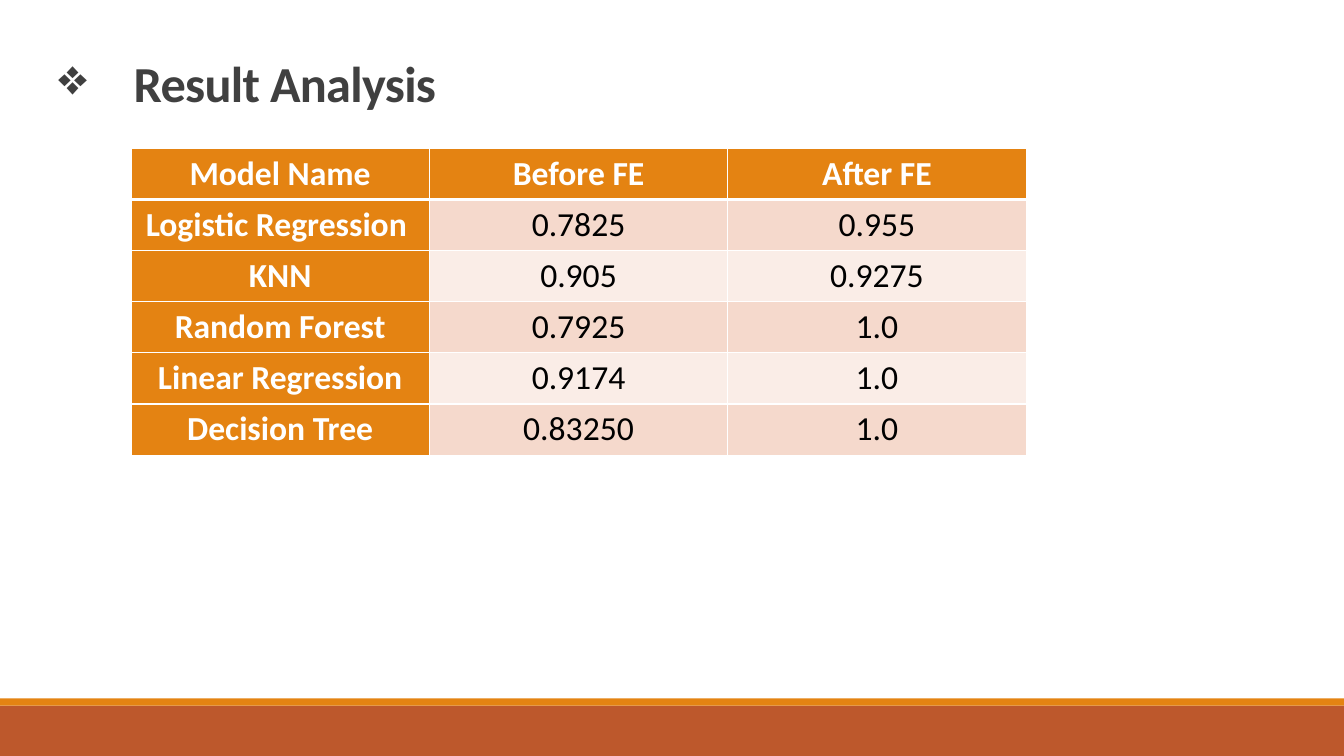
import pptx
import pptx.util
import pptx.dml.color
import pptx.enum.shapes
import pptx.enum.text
import pptx.oxml.ns
import lxml.etree
from dataclasses import dataclass

Cm = pptx.util.Cm
Pt = pptx.util.Pt
ALIGN = pptx.enum.text.PP_ALIGN
ANCHOR = pptx.enum.text.MSO_ANCHOR

# Content
TITLE = "Result Analysis"
HEADER = ("Model Name", "Before FE", "After FE")
RESULTS = [
    ("Logistic Regression ", "0.7825", "0.955"),
    ("KNN", "0.905", "0.9275"),
    ("Random Forest", "0.7925", "1.0"),
    ("Linear Regression", "0.9174", "1.0"),
    ("Decision Tree", "0.83250", "1.0"),
]


@dataclass(frozen=True)
class Theme:
    font: str = "Calibri"
    title_size: int = 36
    table_size: int = 24
    title: str = "404040"
    accent: str = "E48312"
    footer: str = "BD582C"
    bands: tuple = ("F5D9CC", "FAEDE7")
    light: str = "FFFFFF"
    dark: str = "000000"
    thin_border: int = 1
    header_border: int = 3


theme = Theme()

# Layout
SLIDE_WIDTH, SLIDE_HEIGHT = Cm(33.87), Cm(19.05)
FOOTER_HEIGHT, STRIPE_HEIGHT = Cm(1.27), Cm(0.18)
TABLE_LEFT, TABLE_TOP = Cm(3.3), Cm(3.74)
COLUMN_WIDTH, ROW_HEIGHT = Cm(7.52), Cm(1.27)
TITLE_BOX = Cm(1.14), Cm(1.14), Cm(31.55), Cm(2.13)
TITLE_INSET, TITLE_INDENT = Cm(0.33), Cm(1.9)


def rgb(value):
    return pptx.dml.color.RGBColor.from_string(value)


def add_element(parent, tag, **attributes):
    element = lxml.etree.SubElement(parent, pptx.oxml.ns.qn(tag))
    for name, value in attributes.items():
        element.set(name, str(value))
    return element


def write_text(text, frame, size, color, bold=False, align=ALIGN.LEFT):
    paragraph = frame.paragraphs[0]
    paragraph.alignment = align
    run = paragraph.add_run()
    run.text = text
    run.font.name = theme.font
    run.font.size = Pt(size)
    run.font.bold = bold
    run.font.color.rgb = rgb(color)
    return paragraph


def add_bar(slide, top, height, color):
    shape = slide.shapes.add_shape(
        pptx.enum.shapes.MSO_SHAPE.RECTANGLE, 0, top, SLIDE_WIDTH, height)
    shape.shadow.inherit = False
    shape.fill.solid()
    shape.fill.fore_color.rgb = rgb(color)
    shape.line.fill.background()


def set_borders(cell, **widths):
    properties = cell._tc.get_or_add_tcPr()
    for position, side in enumerate("LRTB"):
        width = widths.get(side, theme.thin_border)
        line = lxml.etree.Element(pptx.oxml.ns.qn(f"a:ln{side}"))
        line.set("w", str(Pt(width)))
        fill = add_element(line, "a:solidFill")
        add_element(fill, "a:srgbClr", val=theme.light)
        properties.insert(position, line)


presentation = pptx.Presentation()
presentation.slide_width, presentation.slide_height = SLIDE_WIDTH, SLIDE_HEIGHT
slide = presentation.slides.add_slide(presentation.slide_layouts[6])

# Footer bars
footer_top = SLIDE_HEIGHT - FOOTER_HEIGHT
add_bar(slide, footer_top, FOOTER_HEIGHT, theme.footer)
add_bar(slide, footer_top - STRIPE_HEIGHT, STRIPE_HEIGHT, theme.accent)

# Results table
rows = [HEADER] + RESULTS
table = slide.shapes.add_table(
    len(rows), len(HEADER), TABLE_LEFT, TABLE_TOP,
    COLUMN_WIDTH * len(HEADER), ROW_HEIGHT * len(rows)).table
for row_index, row in enumerate(rows):
    for column_index, text in enumerate(row):
        cell = table.cell(row_index, column_index)
        is_heading = row_index == 0 or column_index == 0
        cell.fill.solid()
        cell.fill.fore_color.rgb = rgb(
            theme.accent if is_heading else theme.bands[(row_index - 1) % 2])
        write_text(text, cell.text_frame, size=theme.table_size, bold=is_heading,
                   color=theme.light if is_heading else theme.dark,
                   align=ALIGN.CENTER)
        if row_index == 0:
            set_borders(cell, B=theme.header_border)
        elif row_index == 1:
            set_borders(cell, T=theme.header_border)
        else:
            set_borders(cell)

# Title with a diamond bullet
title_frame = slide.shapes.add_textbox(*TITLE_BOX).text_frame
title_frame.word_wrap = True
title_frame.vertical_anchor = ANCHOR.MIDDLE
title_frame.margin_left = title_frame.margin_right = TITLE_INSET
title_frame.margin_top = title_frame.margin_bottom = TITLE_INSET
paragraph = write_text(TITLE, title_frame, size=theme.title_size,
                       color=theme.title, bold=True)
paragraph.line_spacing = 0.85
paragraph.runs[0]._r.get_or_add_rPr().set("spc", "-50")
properties = paragraph._p.get_or_add_pPr()
properties.set("marL", str(TITLE_INDENT))
properties.set("indent", str(-TITLE_INDENT))
add_element(properties, "a:buChar", char="❖")

presentation.save("out.pptx")
